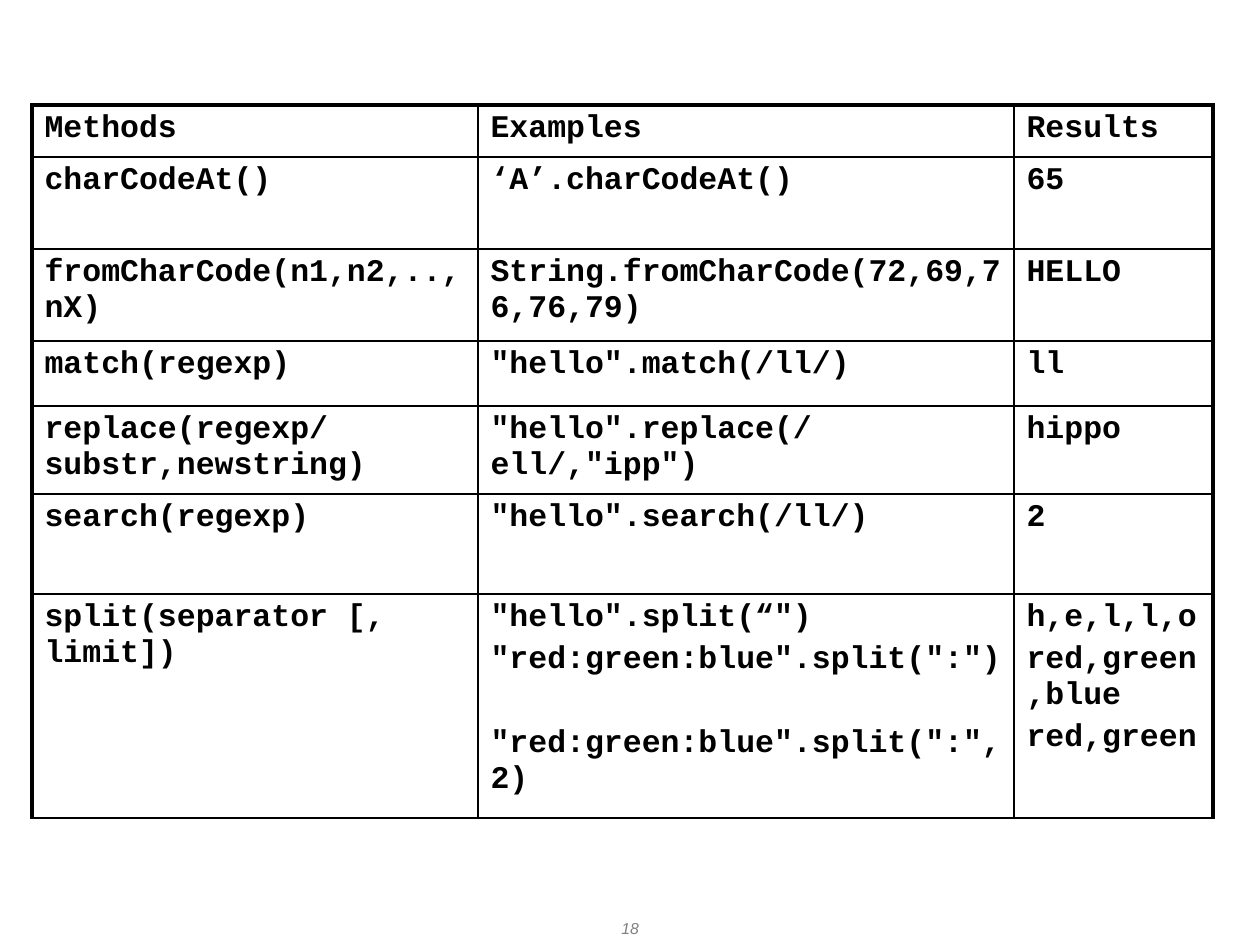
from pptx import Presentation
from pptx.dml.color import RGBColor
from pptx.enum.text import MSO_ANCHOR, PP_ALIGN
from pptx.oxml.ns import qn
from pptx.util import Pt
from lxml import etree

CENTER = PP_ALIGN.CENTER
MIDDLE = MSO_ANCHOR.MIDDLE
BLACK = RGBColor(0x00, 0x00, 0x00)
GRAY = RGBColor(0x80, 0x80, 0x80)

EMU_PER_PX = 914400 / 126
THIN, THICK = 1, 2.25
PARA_GAP, WIDE_GAP = 3.6, 27.6

CODE = {"name": "Courier New", "size": Pt(18), "bold": True}
NUMBER = {"name": "Arial", "size": Pt(9), "italic": True}

COLUMNS = [446, 536, 199]
HEIGHTS = [52, 92, 92, 65, 88, 100, 224]
# Each cell is a list of paragraphs
ROWS = [
    [["Methods"], ["Examples"], ["Results"]],
    [["charCodeAt()"], ["‘A’.charCodeAt()"], ["65"]],
    [["fromCharCode(n1,n2,.., nX)"],
     ["String.fromCharCode(72,69,76,76,79)"], ["HELLO"]],
    [["match(regexp)"], ['"hello".match(/ll/)'], ["ll"]],
    [["replace(regexp/substr,newstring)"],
     ['"hello".replace(/ell/,"ipp")'], ["hippo"]],
    [["search(regexp)"], ['"hello".search(/ll/)'], ["2"]],
    [["split(separator [, limit])"],
     ['"hello".split(“")', '"red:green:blue".split(":")',
      '"red:green:blue".split(":",2)'],
     ["h,e,l,l,o", "red,green,blue", "red,green"]],
]


def px(n):
    return round(n * EMU_PER_PX)


class SlideBuilder:
    def __init__(self, slide):
        self.slide = slide

    def run(self, p, text, style, color):
        r = p.add_run()
        r.text = text
        for key, value in style.items():
            setattr(r.font, key, value)
        r.font.color.rgb = color

    def border(self, cell, widths):
        tc_pr = cell._tc.get_or_add_tcPr()
        for i, (side, width) in enumerate(widths.items()):
            ln = etree.Element(qn(f"a:ln{side}"), w=str(Pt(width)))
            fill = etree.SubElement(ln, qn("a:solidFill"))
            etree.SubElement(fill, qn("a:srgbClr"), val=str(BLACK))
            tc_pr.insert(i, ln)

    def table(self, left, top, columns, heights, rows):
        frame = self.slide.shapes.add_table(
            len(rows), len(columns), px(left), px(top),
            px(sum(columns)), px(sum(heights)))
        table = frame.table
        table.first_row = table.horz_banding = False
        for column, width in zip(table.columns, columns):
            column.width = px(width)
        last = len(columns) - 1
        for i, (row, height) in enumerate(zip(rows, heights)):
            table.rows[i].height = px(height)
            for j, paragraphs in enumerate(row):
                cell = table.cell(i, j)
                cell.fill.background()
                self.border(cell, {
                    "L": THICK if j == 0 else THIN,
                    "R": THICK if j == last else THIN,
                    "T": THICK if i == 0 else THIN,
                    "B": THIN,
                })
                self.paragraphs(cell.text_frame, paragraphs)
        return table

    def paragraphs(self, tf, texts):
        for i, text in enumerate(texts):
            p = tf.add_paragraph() if i else tf.paragraphs[0]
            p.space_before = Pt(PARA_GAP)
            self.run(p, text, CODE, BLACK)

    def text(self, left, top, width, height, text, style, color):
        box = self.slide.shapes.add_textbox(
            px(left), px(top), px(width), px(height))
        tf = box.text_frame
        tf.word_wrap = True
        tf.vertical_anchor = MIDDLE
        tf.margin_top = tf.margin_bottom = 0
        p = tf.paragraphs[0]
        p.alignment = CENTER
        self.run(p, text, style, color)


def main():
    prs = Presentation()
    prs.slide_width, prs.slide_height = px(1260), px(945)
    s = SlideBuilder(prs.slides.add_slide(prs.slide_layouts[6]))

    # String methods, with the last split() example set apart
    table = s.table(32, 105, COLUMNS, HEIGHTS, ROWS)
    split_examples = table.cell(len(ROWS) - 1, 1).text_frame
    split_examples.paragraphs[-1].space_before = Pt(WIDE_GAP)

    # Page number
    s.text(483, 912, 294, 33, "18", NUMBER, GRAY)

    prs.save("out.pptx")


if __name__ == "__main__":
    main()
